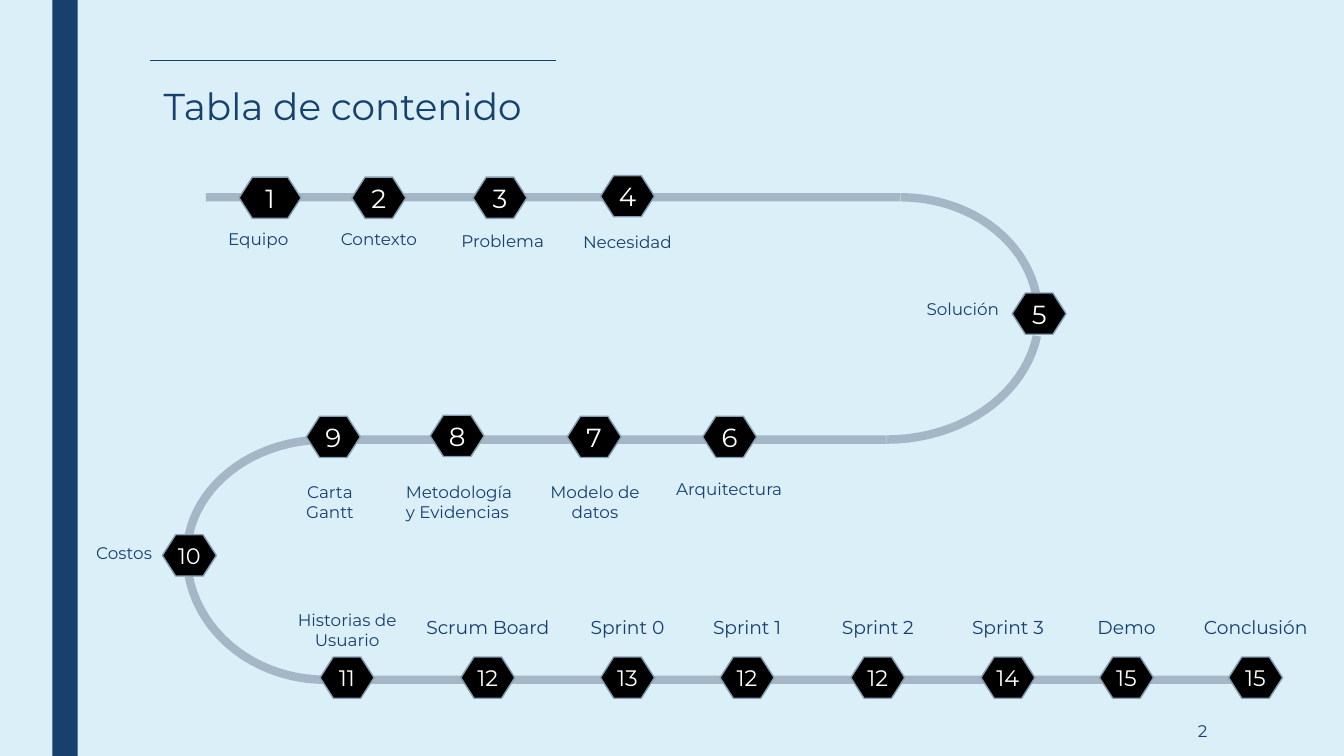
from collections import namedtuple
from dataclasses import dataclass
from math import cos, radians, sin

from pptx import Presentation
from pptx.dml.color import RGBColor
from pptx.enum.shapes import MSO_CONNECTOR, MSO_SHAPE
from pptx.enum.text import MSO_ANCHOR, PP_ALIGN
from pptx.oxml.ns import qn
from pptx.util import Cm, Pt
from lxml import etree

FONT = "Montserrat"
NAVY, PALE, ROAD, EDGE = "17406D", "DBEFF9", "A5B7C6", "869FB2"
BLACK, WHITE = "000000", "FFFFFF"
ROAD_WIDTH = 0.16
HEXAGON_HEIGHT = 0.78

Box = namedtuple("Box", "left top width height")


@dataclass
class Stop:
    """A numbered hexagon and its label, in cm from the corner of its row."""
    number: int
    x: float
    label: str
    label_x: float
    label_y: float
    label_width: float
    y: float = 0
    width: float = 1.02
    number_size: float = 14
    label_size: float = 9
    align: PP_ALIGN = PP_ALIGN.CENTER


def color(value):
    return RGBColor.from_string(value)


def fill_shape(shape, fill, line=None):
    shape.shadow.inherit = False
    shape.fill.solid()
    shape.fill.fore_color.rgb = color(fill)
    if line:
        shape.line.color.rgb = color(line)
        shape.line.width = Pt(0.75)
    else:
        shape.line.fill.background()


def write_text(shape, text, size, text_color=NAVY, align=PP_ALIGN.LEFT,
               anchor=MSO_ANCHOR.TOP, inset=0.25, wrap=True):
    frame = shape.text_frame
    frame.text = text
    frame.word_wrap = wrap
    frame.vertical_anchor = anchor
    frame.margin_left = frame.margin_right = Cm(inset)
    frame.margin_top = frame.margin_bottom = Cm(inset)
    paragraph = frame.paragraphs[0]
    paragraph.alignment = align
    font = paragraph.runs[0].font
    font.name, font.size = FONT, Pt(size)
    font.color.rgb = color(text_color)


def add_rectangle(slide, box, fill):
    shape = slide.shapes.add_shape(MSO_SHAPE.RECTANGLE, *map(Cm, box))
    fill_shape(shape, fill)


def add_text(slide, box, text, size, align):
    write_text(slide.shapes.add_textbox(*map(Cm, box)), text, size, align=align)


def draw_title(slide, box):
    rule = slide.shapes.add_connector(
        MSO_CONNECTOR.STRAIGHT, Cm(box.left), Cm(box.top - 0.18),
        Cm(box.left + box.width), Cm(box.top - 0.18))
    rule.line.color.rgb = color(NAVY)
    rule.line.width = Pt(0.75)
    etree.SubElement(rule._element.spPr, qn("a:effectLst"))

    title = slide.shapes.title
    title.left, title.top, title.width, title.height = map(Cm, box)
    write_text(title, "Tabla de contenido", 20)


def draw_bend(slide, center_x, center_y, radius_x, radius_y):
    """Draw a quarter turn; the signs of the radii choose the quadrant."""
    angles = [radians(degree) for degree in range(10, 91, 4)]

    def edge(offset):
        scale_x = 1 + offset / abs(radius_x)
        scale_y = 1 + offset / abs(radius_y)
        return [(Cm(center_x + radius_x * scale_x * cos(angle)),
                 Cm(center_y + radius_y * scale_y * sin(angle)))
                for angle in angles]

    points = edge(ROAD_WIDTH / 2) + edge(-ROAD_WIDTH / 2)[::-1]
    builder = slide.shapes.build_freeform(*points[0])
    builder.add_line_segments(points[1:])
    fill_shape(builder.convert_to_shape(), ROAD)


def draw_road(slide, box):
    """Draw three straight stretches joined by a right and a left turn."""
    middle, bottom = box.top + 4.58, box.top + box.height
    right_top, right_middle = box.left + 13.13, box.left + 12.87
    left_turn = box.left + 2.26
    stretches = [(box.left, right_top, box.top),
                 (left_turn, right_middle, middle),
                 (left_turn, box.left + box.width, bottom)]
    for start, end, y in stretches:
        add_rectangle(slide, Box(start, y - ROAD_WIDTH / 2, end - start, ROAD_WIDTH), ROAD)

    right_y, left_y = box.top + 2.21, box.top + 6.76
    draw_bend(slide, right_top, right_y, 2.6, box.top - right_y)
    draw_bend(slide, right_middle, right_y, 2.88, middle - right_y)
    draw_bend(slide, left_turn, left_y, -2.62, middle - left_y)
    draw_bend(slide, left_turn, left_y, -2.62, bottom - left_y)


def draw_stops(slide, left, top, stops):
    for stop in stops:
        hexagon = slide.shapes.add_shape(
            MSO_SHAPE.HEXAGON, Cm(left + stop.x), Cm(top + stop.y),
            Cm(stop.width), Cm(HEXAGON_HEIGHT))
        hexagon.adjustments[0] = 0.32
        fill_shape(hexagon, BLACK, EDGE)
        write_text(hexagon, str(stop.number), stop.number_size, WHITE,
                   PP_ALIGN.CENTER, MSO_ANCHOR.MIDDLE, inset=0, wrap=False)
        height = 0.9 if " " not in stop.label else 1.27
        add_text(slide, Box(left + stop.label_x, top + stop.label_y,
                            stop.label_width, height),
                 stop.label, stop.label_size, stop.align)


TOP_ROW = [
    Stop(1, 0.63, "Equipo", -0.18, 0.79, 2.34, width=1.17),
    Stop(2, 2.76, "Contexto", 2.1, 0.79, 2.34),
    Stop(3, 5.05, "Problema", 4.44, 0.81, 2.34),
    Stop(4, 7.46, "Necesidad", 6.88, 0.84, 2.21, y=-0.03, align=PP_ALIGN.LEFT),
]
RIGHT_TURN = [Stop(5, 0, "Solución", -2.04, -0.08, 2.21)]
MIDDLE_ROW = [
    Stop(6, 8.15, "Arquitectura", 7.06, 0.99, 3.18),
    Stop(7, 5.59, "Modelo de datos", 4.83, 0.99, 2.57),
    Stop(8, 3, "Metodología y Evidencias", 2.29, 0.99, 2.67, y=-0.02,
         align=PP_ALIGN.LEFT),
    Stop(9, 0.66, "Carta Gantt", 0, 0.99, 2.21),
]
LEFT_TURN = [Stop(10, 0, "Costos", -1.5, -0.05, 1.75, number_size=12,
                  align=PP_ALIGN.LEFT)]
BOTTOM_ROW = [Stop(11, 0, "Historias de Usuario", -0.91, -1.14, 2.84, number_size=12)]
BOTTOM_ROW += [
    Stop(number, x, label, x - 0.91, -0.99, 2.84, number_size=12, label_size=10)
    for number, x, label in [
        (12, 2.66, "Scrum Board"), (13, 5.3, "Sprint 0"), (12, 7.56, "Sprint 1"),
        (12, 10.03, "Sprint 2"), (14, 12.49, "Sprint 3"), (15, 14.73, "Demo"),
        (15, 17.17, "Conclusión")]
]


def main():
    presentation = Presentation()
    presentation.slide_width, presentation.slide_height = Cm(25.4), Cm(14.29)
    slide = presentation.slides.add_slide(presentation.slide_layouts[5])
    slide.background.fill.solid()
    slide.background.fill.fore_color.rgb = color(PALE)

    add_rectangle(slide, Box(0.99, 0, 0.48, 14.29), NAVY)
    add_text(slide, Box(19.74, 13.44, 3.33, 0.84), "2", 9, PP_ALIGN.RIGHT)
    draw_title(slide, Box(2.84, 1.32, 7.67, 1.37))
    draw_road(slide, Box(3.89, 3.73, 20.24, 9.12))
    draw_stops(slide, 3.89, 3.35, TOP_ROW)
    draw_stops(slide, 19.13, 5.54, RIGHT_TURN)
    draw_stops(slide, 5.13, 7.87, MIDDLE_ROW)
    draw_stops(slide, 3.07, 10.11, LEFT_TURN)
    draw_stops(slide, 6.05, 12.42, BOTTOM_ROW)
    presentation.save("out.pptx")


if __name__ == "__main__":
    main()
